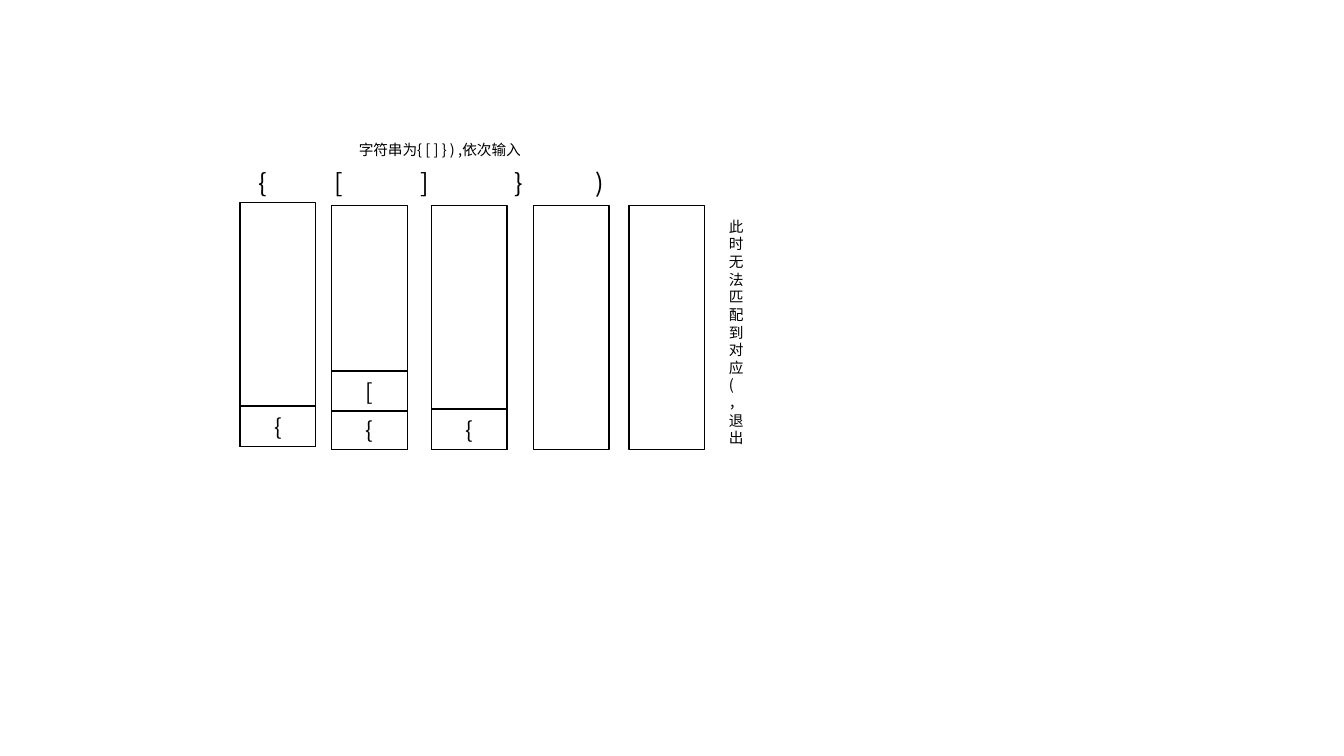
from pptx import Presentation
from pptx.dml.color import RGBColor
from pptx.enum import shapes, text
from pptx.oxml.ns import qn
from pptx.util import Inches, Pt

FONT = "Noto Sans CJK SC"
BLACK = RGBColor(0, 0, 0)
WHITE = RGBColor(255, 255, 255)
STACK_W, STACK_H, CELL_H, CELL_STEP = 0.75, 2.42, 0.4, 0.38

# Left, top and contents (bottom first) of the stack after each input
STACKS = [
    (2.38, 2.01, "{"),
    (3.29, 2.04, "{["),
    (4.28, 2.04, "{"),
    (5.29, 2.04, ""),
    (6.24, 2.04, ""),
]
# Centre of each input character, from the start of its line
INPUTS = {"{": 0.44, "[": 1.19, "]": 2.04, "}": 2.98, ")": 3.78}


def write(tf, content, size):
    """Fill a text frame and format all its runs."""
    tf.word_wrap = True
    tf.text = content
    for p in tf.paragraphs:
        for r in p.runs:
            r.font.size = Pt(size)
            r.font.name = FONT
            r.font.color.rgb = BLACK
            ea = r._r.get_or_add_rPr().makeelement(qn("a:ea"), {"typeface": FONT})
            r.font._element.find(qn("a:latin")).addnext(ea)


def add_box(s, left, top, width, height):
    """Add a white rectangle with a thin black outline."""
    sp = s.shapes.add_shape(shapes.MSO_SHAPE.RECTANGLE, Inches(left),
                            Inches(top), Inches(width), Inches(height))
    sp.shadow.inherit = False
    sp.fill.solid()
    sp.fill.fore_color.rgb = WHITE
    sp.line.color.rgb = BLACK
    sp.line.width = Pt(1)
    return sp


def add_label(s, left, top, width, height, content, size):
    """Add a left-aligned text box and return its text frame."""
    sp = s.shapes.add_textbox(Inches(left), Inches(top),
                              Inches(width), Inches(height))
    write(sp.text_frame, content, size)
    return sp.text_frame


def add_stack(s, left, top, items):
    """Draw a stack with its items piled up from the bottom."""
    add_box(s, left, top, STACK_W, STACK_H)
    for i, item in enumerate(items):
        cell_top = top + STACK_H - CELL_H - i * CELL_STEP
        tf = add_box(s, left, cell_top, STACK_W, CELL_H).text_frame
        write(tf, item, 16)
        tf.vertical_anchor = text.MSO_ANCHOR.MIDDLE
        tf.paragraphs[0].alignment = text.PP_ALIGN.CENTER


def add_inputs(s, left, top, width, height):
    """Write the input characters on one line, centred on tab stops."""
    line = "".join("\t" + char for char in INPUTS)
    tf = add_label(s, left, top, width, height, line, 18)
    pPr = tf.paragraphs[0]._p.get_or_add_pPr()
    tabs = pPr.makeelement(qn("a:tabLst"), {})
    pPr.append(tabs)
    for centre in INPUTS.values():
        tabs.append(tabs.makeelement(
            qn("a:tab"), {"pos": str(Inches(centre)), "algn": "ctr"}))


def build_slide(prs):
    """Show how the stack changes as the brackets are read."""
    s = prs.slides.add_slide(prs.slide_layouts[6])
    for left, top, items in STACKS:
        add_stack(s, left, top, items)
    add_label(s, 3.46, 1.35, 2.29, 0.28, "字符串为{ [ ] } ) ,依次输入", 10.5)
    add_inputs(s, 2.07, 1.61, 5.39, 0.4)
    add_label(s, 7.13, 2.11, 0.26, 2.22, "此时无法匹配到对应\n(，\n退出", 10.5)


prs = Presentation()
prs.slide_width, prs.slide_height = Inches(13.33), Inches(7.5)
build_slide(prs)
prs.save("out.pptx")
